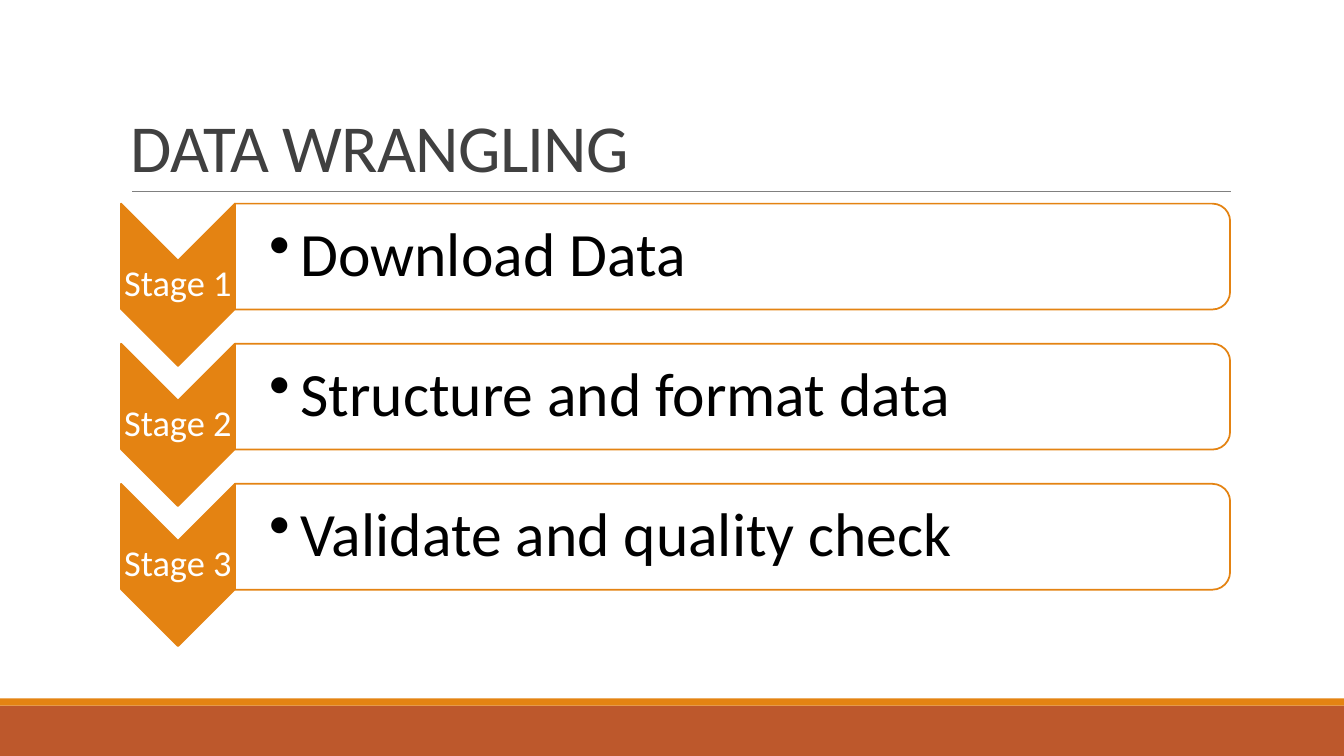
"""Build the Data Wrangling slide: three stage chevrons with panels."""
import pptx
import pptx.util
import pptx.dml.color
import pptx.enum.shapes
import pptx.enum.text
import pptx.oxml
import pptx.oxml.ns

Inches, Pt = pptx.util.Inches, pptx.util.Pt
RGBColor = pptx.dml.color.RGBColor
SHAPE = pptx.enum.shapes.MSO_SHAPE
ANCHOR = pptx.enum.text.MSO_ANCHOR
ALIGN = pptx.enum.text.PP_ALIGN
qn = pptx.oxml.ns.qn

TITLE = "DATA WRANGLING"
STAGES = [
    ("Stage 1", "Download Data"),
    ("Stage 2", "Structure and format data"),
    ("Stage 3", "Validate and quality check"),
]

ORANGE = RGBColor(0xE4, 0x83, 0x12)
RUST = RGBColor(0xBD, 0x58, 0x2C)
GRAY = RGBColor(0x80, 0x80, 0x80)
CHARCOAL = RGBColor(0x40, 0x40, 0x40)
WHITE = RGBColor(0xFF, 0xFF, 0xFF)
BLACK = RGBColor(0, 0, 0)

FONT = "Calibri"
SLIDE_W, SLIDE_H = 13.33, 7.5
LEFT, TOP, PITCH = 1.2, 2.02, 1.39
CHEVRON_W, CHEVRON_H = 1.13, 1.61
PANEL_W, PANEL_H = 9.87, 1.05
LABEL_H, ITEM_W, ITEM_H = 0.48, 9.82, 0.94


def add_shape(slide, kind, x, y, w, h, fill, line=None, turned=False):
    """Add a filled shape that covers the given box, turned a quarter if asked."""
    if turned:
        x, y, w, h = x + (w - h) / 2, y + (h - w) / 2, h, w
    sp = slide.shapes.add_shape(kind, Inches(x), Inches(y), Inches(w), Inches(h))
    sp.rotation = 90 if turned else 0
    sp.shadow.inherit = False
    sp.fill.solid()
    sp.fill.fore_color.rgb = fill
    if line is None:
        sp.line.fill.background()
    else:
        sp.line.color.rgb = line
        sp.line.width = Pt(1.25)
    return sp


def add_text(slide, text, x, y, w, h, *, size, color, anchor=ANCHOR.MIDDLE,
             align=ALIGN.LEFT, insets=(0.1, 0.05, 0.1, 0.05), spacing=0.9,
             tracking=None, bullet_indent=None):
    """Add one formatted paragraph in a text box."""
    sp = slide.shapes.add_textbox(Inches(x), Inches(y), Inches(w), Inches(h))
    tf = sp.text_frame
    tf.word_wrap = True
    tf.vertical_anchor = anchor
    tf.margin_left, tf.margin_top, tf.margin_right, tf.margin_bottom = map(Inches, insets)
    p = tf.paragraphs[0]
    p.alignment = align
    p.line_spacing = spacing
    r = p.add_run()
    r.text = text
    r.font.name = FONT
    r.font.size = Pt(size)
    r.font.color.rgb = color
    if tracking is not None:
        r.font._element.set("spc", str(int(tracking * 100)))
    if bullet_indent is not None:
        pPr = p._p.get_or_add_pPr()
        pPr.set("marL", str(Inches(bullet_indent)))
        pPr.set("indent", str(-Inches(bullet_indent)))
        bullet = pptx.oxml.parse_xml(
            '<a:buChar xmlns:a="http://schemas.openxmlformats.org/drawingml/2006/main" char="•"/>')
        pPr.append(bullet)
    return sp


def add_rule(slide, x1, x2, y):
    """Add the thin line under the title."""
    cx = slide.shapes.add_connector(pptx.enum.shapes.MSO_CONNECTOR.STRAIGHT,
                                    Inches(x1), Inches(y), Inches(x2), Inches(y))
    cx.line.color.rgb = GRAY
    cx.line.width = Pt(0.5)
    cx._element.spPr.append(pptx.oxml.xmlchemy.OxmlElement("a:effectLst"))


def add_stage(slide, label, item, top):
    """Add one chevron with its label, panel and bullet."""
    panel_x = LEFT + CHEVRON_W
    add_shape(slide, SHAPE.CHEVRON, LEFT, top, CHEVRON_W, CHEVRON_H,
              ORANGE, ORANGE, turned=True)
    add_text(slide, label, LEFT, top + (CHEVRON_H - LABEL_H) / 2, CHEVRON_W, LABEL_H,
             size=26, color=WHITE, align=ALIGN.CENTER, insets=(0.02,) * 4)
    panel = add_shape(slide, SHAPE.ROUND_2_SAME_RECTANGLE, panel_x, top, PANEL_W, PANEL_H,
                      WHITE, ORANGE, turned=True)
    fill = panel._element.spPr.find(qn("a:solidFill"))
    alpha = pptx.oxml.xmlchemy.OxmlElement("a:alpha")
    alpha.set("val", "90000")
    fill[0].append(alpha)
    add_text(slide, item, panel_x, top + (PANEL_H - ITEM_H) / 2, ITEM_W, ITEM_H,
             size=44, color=BLACK, insets=(0.34, 0.03, 0.03, 0.03), bullet_indent=0.31)


def main():
    """Build and save the slide."""
    prs = pptx.Presentation()
    prs.slide_width, prs.slide_height = Inches(SLIDE_W), Inches(SLIDE_H)
    slide = prs.slides.add_slide(prs.slide_layouts[6])
    add_shape(slide, SHAPE.RECTANGLE, 0, 7, SLIDE_W, 0.5, RUST)
    add_shape(slide, SHAPE.RECTANGLE, 0, 6.93, SLIDE_W, 0.07, ORANGE)
    add_rule(slide, 1.31, 12.21, 1.9)
    add_text(slide, TITLE, LEFT, 0.31, 11, 1.59, size=48, color=CHARCOAL,
             anchor=ANCHOR.BOTTOM, spacing=0.85, tracking=-0.5)
    for i, (label, item) in enumerate(STAGES):
        add_stage(slide, label, item, TOP + i * PITCH)
    prs.save("out.pptx")


if __name__ == "__main__":
    main()
